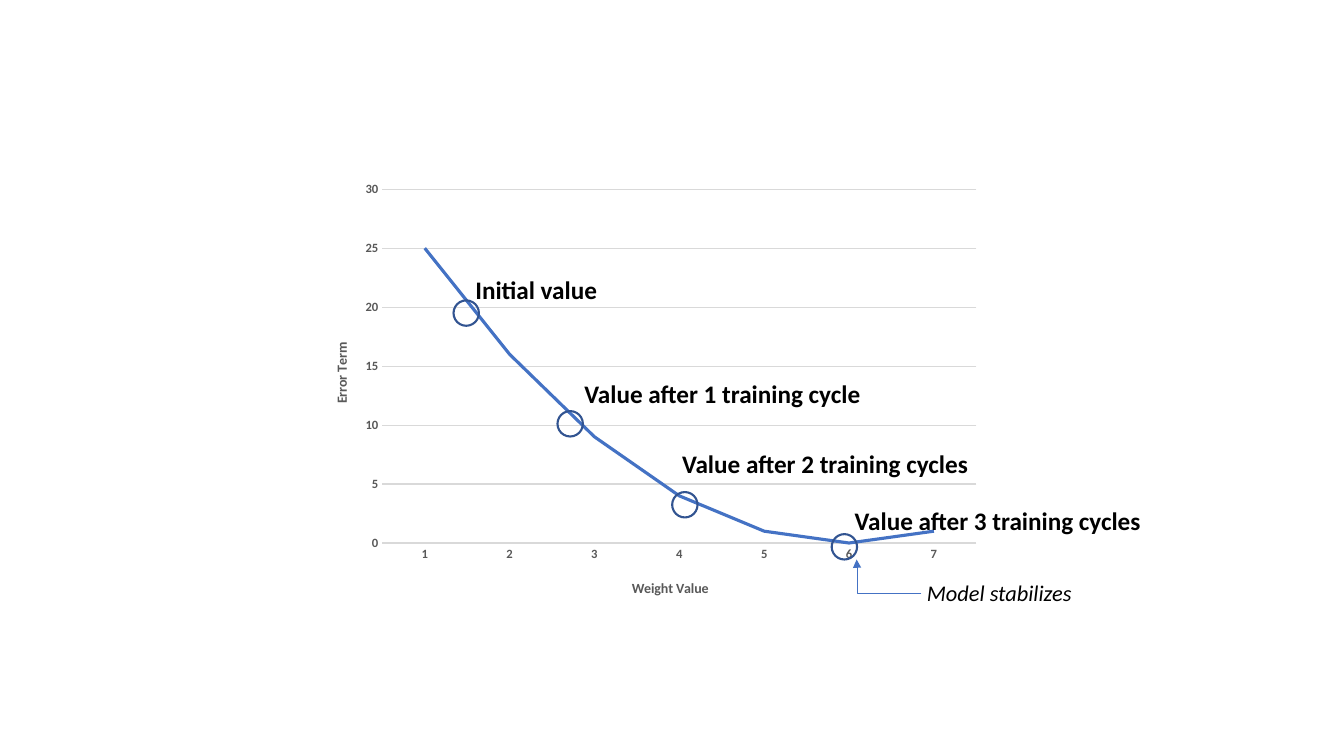
from lxml import etree
from pptx import Presentation
from pptx import util as u
from pptx.chart import data
from pptx.dml import color
from pptx.enum import chart as ch, shapes, text
from pptx.oxml import ns

COLORS = {"line": "4472C4", "ring": "325491", "grid": "D9D9D9",
          "axis": "595959", "text": "000000"}


def rgb(name):
    """Return the named colour."""
    return color.RGBColor.from_string(COLORS[name])


def style_line(line, name, width):
    """Set colour and width of a line."""
    line.color.rgb = rgb(name)
    line.width = u.Pt(width)


def style_font(font, size, name="text", bold=False, italic=False):
    """Format a font."""
    font.name, font.size = "Calibri", u.Pt(size)
    font.bold, font.italic = bold, italic
    font.color.rgb = rgb(name)


def sub(parent, tag, **attrs):
    """Append an XML child and return it."""
    return etree.SubElement(parent, ns.qn(tag), **attrs)


def place(element, inner=False, **fractions):
    """Give a chart part a manual layout in fractions of the chart."""
    for old in element.findall(ns.qn("c:layout")):
        element.remove(old)
    layout = etree.Element(ns.qn("c:layout"))
    manual = sub(layout, "c:manualLayout")
    if inner:
        sub(manual, "c:layoutTarget", val="inner")
    for key in ("x", "y"):
        sub(manual, f"c:{key}Mode", val="edge")
    for key, value in fractions.items():
        sub(manual, f"c:{key}", val=str(value))
    element.insert(0 if element.find(ns.qn("c:tx")) is None else 1, layout)


def style_axis(axis, title, x, y):
    """Format an axis and its title."""
    axis.major_tick_mark = axis.minor_tick_mark = ch.XL_TICK_MARK.NONE
    style_font(axis.tick_labels.font, 9, "axis", bold=True)
    tf = axis.axis_title.text_frame
    tf.text = title
    style_font(tf.paragraphs[0].runs[0].font, 10, "axis", bold=True)
    place(axis.axis_title._element, x=x, y=y)


def add_error_chart(s):
    """Add the line chart of error term by weight value."""
    cd = data.CategoryChartData()
    cd.categories = [str(n) for n in range(1, 8)]
    cd.add_series("Series 1", [25, 16, 9, 4, 1, 0, 1])
    chart = s.shapes.add_chart(ch.XL_CHART_TYPE.LINE, u.Cm(7.8), u.Cm(4.37),
                               u.Cm(17.15), u.Cm(11.05), cd).chart
    chart.has_legend = chart.has_title = False
    style_font(chart.font, 10, bold=True)
    plot = chart.plots[0]
    plot.vary_by_categories = False
    series = plot.series[0]
    series.smooth = False
    series.marker.style = ch.XL_MARKER_STYLE.NONE
    style_line(series.format.line, "line", 2.25)
    cat, val = chart.category_axis, chart.value_axis
    style_axis(cat, "Weight Value", 0.47, 0.92)
    style_axis(val, "Error Term", 0.03, 0.38)
    style_line(cat.format.line, "grid", 0.75)
    val.format.line.fill.background()
    val.minimum_scale, val.maximum_scale, val.major_unit = 0, 30, 5
    style_line(val.major_gridlines.format.line, "grid", 0.75)
    place(chart._chartSpace.find(".//" + ns.qn("c:plotArea")), inner=True,
          x=0.107, y=0.036, w=0.873, h=0.807)


def add_ring(s, x, y, size=0.64):
    """Add an unfilled circle marking a point."""
    sp = s.shapes.add_shape(shapes.MSO_SHAPE.OVAL, *map(u.Cm, (x, y, size, size)))
    sp.shadow.inherit = False
    sp.fill.background()
    style_line(sp.line, "ring", 1.5)


def add_text(s, words, x, y, w=8.13, h=1.02, size=18, **fmt):
    """Add a text box with formatted text."""
    tf = s.shapes.add_textbox(*map(u.Cm, (x, y, w, h))).text_frame
    tf.word_wrap = True
    tf.auto_size = text.MSO_AUTO_SIZE.SHAPE_TO_FIT_TEXT
    r = tf.paragraphs[0].add_run()
    r.text = words
    style_font(r.font, size, **fmt)


def add_elbow_arrow(s, x1, y1, x2, y2):
    """Add a bent connector that turns up into an arrowhead."""
    cx = s.shapes.add_connector(shapes.MSO_CONNECTOR.ELBOW,
                                *map(u.Cm, (x1, y1, x2, y2)))
    style_line(cx.line, "line", 0.5)
    sub(cx.line._get_or_add_ln(), "a:tailEnd", type="triangle")
    guides = cx._element.spPr.find(".//" + ns.qn("a:avLst"))
    sub(guides, "a:gd", name="adj1", fmla="val 99400")
    sub(cx._element.spPr, "a:effectLst")


def main():
    """Build the slide and save it."""
    prs = Presentation()
    prs.slide_width, prs.slide_height = u.Cm(33.87), u.Cm(19.05)
    s = prs.slides.add_slide(prs.slide_layouts[6])
    add_error_chart(s)
    for x, y in [(11.43, 7.57), (14.05, 10.36), (16.94, 12.4), (20.96, 13.46)]:
        add_ring(s, x, y)
    for words, x, y in [("Initial value", 11.73, 6.78),
                        ("Value after 1 training cycle", 14.48, 9.4),
                        ("Value after 2 training cycles", 16.94, 11.18),
                        ("Value after 3 training cycles", 21.29, 12.6)]:
        add_text(s, words, x, y, bold=True)
    add_elbow_arrow(s, 23.22, 14.96, 21.59, 14.1)
    add_text(s, "Model stabilizes", 23.11, 14.48, h=0.94, size=16, italic=True)
    prs.save("out.pptx")


main()
